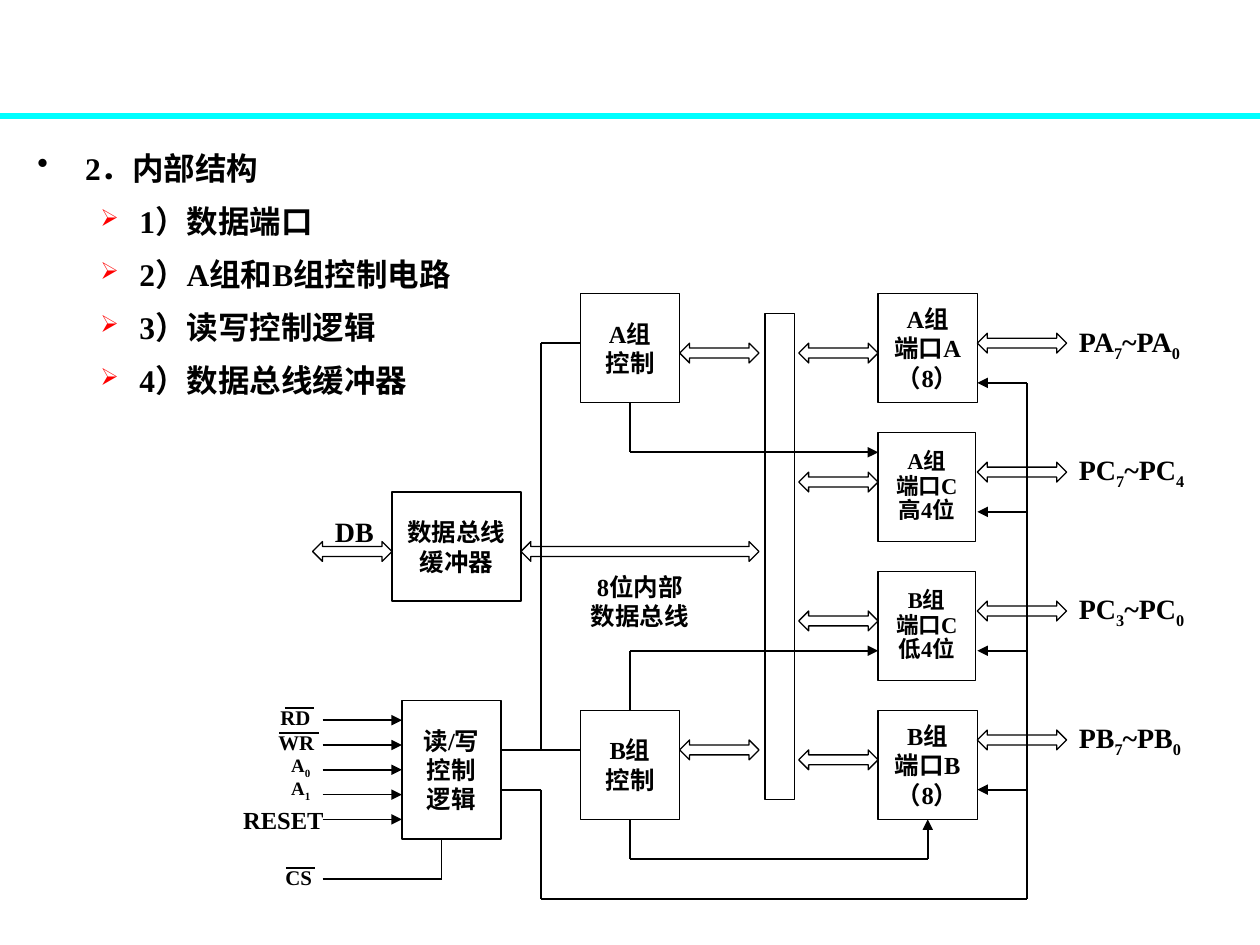
import pptx
import pptx.dml.color
import pptx.enum.shapes
import pptx.enum.text
import pptx.oxml
import pptx.oxml.ns
import pptx.util

BLACK = pptx.dml.color.RGBColor(0x00, 0x00, 0x00)
RED = pptx.dml.color.RGBColor(0xFF, 0x00, 0x00)
CYAN = pptx.dml.color.RGBColor(0x00, 0xFF, 0xFF)

SHAPE = pptx.enum.shapes.MSO_SHAPE
CENTER = pptx.enum.text.PP_ALIGN.CENTER
MIDDLE = pptx.enum.text.MSO_ANCHOR.MIDDLE
TOP = pptx.enum.text.MSO_ANCHOR.TOP


def add_xml(parent, tag, **attributes):
    element = pptx.oxml.parse_xml(f'<a:{tag} {pptx.oxml.ns.nsdecls("a")}/>')
    for name, value in attributes.items():
        element.set(name, str(value))
    parent.append(element)
    return element


class Diagram:
    """Draws on one slide; lengths are columns and rows of a 2 mm grid."""

    font = "Times New Roman"
    cell = pptx.util.Cm(0.2)
    left = pptx.util.Inches(2.56)
    top = pptx.util.Inches(2.33)

    def __init__(self, slide):
        self.slide = slide

    def x(self, column):
        return round(self.left + column * self.cell)

    def y(self, row):
        return round(self.top + row * self.cell)

    def area(self, column, row, columns, rows):
        return (self.x(column), self.y(row),
                round(columns * self.cell), round(rows * self.cell))

    def add_spans(self, para, runs, size):
        """Every second run is a subscript."""
        for index, text in enumerate(runs):
            span = para.add_run()
            span.text = text
            span.font.name = self.font
            span.font.size = pptx.util.Pt(size)
            span.font.bold = True
            span.font.color.rgb = BLACK
            if index % 2:
                span.font._element.set("baseline", "-25000")

    def fill_text(self, box, lines, size, align, spacing, inset=True, anchor=MIDDLE):
        frame = box.text_frame
        frame.word_wrap = True
        frame.vertical_anchor = anchor
        frame.margin_left = frame.margin_right = pptx.util.Inches(0.1 * inset)
        frame.margin_top = frame.margin_bottom = pptx.util.Inches(0.05 * inset)
        for index, runs in enumerate(lines):
            para = frame.add_paragraph() if index else frame.paragraphs[0]
            para.alignment = align
            para.line_spacing = spacing
            self.add_spans(para, runs, size)
        return frame

    def label(self, place, *lines, size=14, align=None, spacing=1.0, inset=True):
        box = self.slide.shapes.add_textbox(*self.area(*place))
        self.fill_text(box, lines, size, align, spacing, inset)

    def shape(self, kind, place):
        shape = self.slide.shapes.add_shape(kind, *self.area(*place))
        shape.shadow.inherit = False
        shape.fill.background()
        shape.line.color.rgb = BLACK
        shape.line.width = pptx.util.Pt(0.75)
        return shape

    def block(self, place, *lines, size=14, spacing=1.0):
        box = self.shape(SHAPE.RECTANGLE, place)
        self.fill_text(box, [[line] for line in lines], size, CENTER, spacing)

    def bus_arrow(self, column, row, columns):
        arrow = self.shape(SHAPE.LEFT_RIGHT_ARROW, (column, row, columns, 2))
        arrow.adjustments[0] = arrow.adjustments[1] = 0.5

    def wire(self, *points, arrow=False, color=BLACK, width=1):
        """Straight pieces through the points, with an optional end arrow."""
        for start, end in zip(points, points[1:]):
            line = self.slide.shapes.add_connector(
                pptx.enum.shapes.MSO_CONNECTOR.STRAIGHT,
                self.x(start[0]), self.y(start[1]), self.x(end[0]), self.y(end[1]))
            line.line.color.rgb = color
            line.line.width = pptx.util.Pt(width)
            if arrow and end == points[-1]:
                add_xml(line.line._ln, "tailEnd", type="triangle")
            add_xml(line._element.spPr, "effectLst")

    def outline(self, place, items):
        """Bulleted list: the first item is the heading of the others."""
        box = self.slide.shapes.add_textbox(*self.area(*place))
        frame = self.fill_text(box, [[item] for item in items], 18, None, 1.2, anchor=TOP)
        for index, para in enumerate(frame.paragraphs):
            symbol, color, scale, margin, indent = (
                ("➢", RED, 75, 0.81, 0.31) if index else ("•", BLACK, 100, 0.38, 0.38))
            para.level = min(index, 1)
            para.space_before = pptx.util.Pt(4.5 if index else 0)
            properties = para._p.get_or_add_pPr()
            properties.set("marL", str(pptx.util.Inches(margin)))
            properties.set("indent", str(-pptx.util.Inches(indent)))
            add_xml(add_xml(properties, "buClr"), "srgbClr", val=color)
            add_xml(properties, "buSzPct", val=scale * 1000)
            add_xml(properties, "buChar", char=symbol)


def main():
    deck = pptx.Presentation()
    deck.slide_width = pptx.util.Inches(10)
    deck.slide_height = pptx.util.Inches(7.5)
    diagram = Diagram(deck.slides.add_slide(deck.slide_layouts[6]))

    # Header rule and outline
    diagram.wire((-32.51, -17.9), (94.49, -17.9), color=CYAN, width=3)
    diagram.outline((-30, -16, 50, 29), [
        "2．内部结构", "1）数据端口", "2）A组和B组控制电路", "3）读写控制逻辑", "4）数据总线缓冲器"])

    # Ports: block, inner and outer bus arrows, control input, pin label
    ports = [
        (0, 10, ("A组", "端口A", "（8）"), 14, 1.0, 5, 4, 9, ("PA", "7", "~PA", "0")),
        (14, 9.8, ("A组", "端口C", "高4位"), 12.9, 0.9, 18, 17, 22, ("PC", "7", "~PC", "4")),
        (28, 9.8, ("B组", "端口C", "低4位"), 12.9, 0.9, 32, 31, 36, ("PC", "3", "~PC", "0")),
        (42, 10, ("B组", "端口B", "（8）"), 14, 1.0, 46, 44, 50, ("PB", "7", "~PB", "0")),
    ]
    for row, columns, lines, size, spacing, inner, outer, control, pins in ports:
        diagram.block((56, row, columns, 11), *lines, size=size, spacing=spacing)
        diagram.bus_arrow(48, inner, 8)
        diagram.bus_arrow(66, outer, 9)
        diagram.wire((71, control), (66, control), arrow=True)
        diagram.label((75, outer - 2, 16, 6), pins, size=16)

    # Group controls and internal data bus
    for group, row, arrow_row in (("A组", 0, 5), ("B组", 42, 45)):
        diagram.block((26, row, 10, 11), group, "控制")
        diagram.bus_arrow(36, arrow_row, 8)
    diagram.shape(SHAPE.RECTANGLE, (44.6, 2, 3, 49))
    diagram.label((24, 27, 16, 8), ["8位内部"], ["数据总线"], align=CENTER, inset=False)

    # Data bus buffer
    diagram.block((7, 20, 13, 11), "数据总线", "缓冲器")
    diagram.bus_arrow(20, 25, 24)
    diagram.bus_arrow(-1, 25, 8)
    diagram.label((0, 21, 7, 6), ["DB"], size=16)

    # Read/write logic with its input signals
    diagram.block((8, 41, 10, 14), "读/写", "控制", "逻辑")
    for index in range(5):
        row = 43 + 2.5 * index
        diagram.wire((0, row), (8, row), arrow=True)
    for name, column, row, bar_start, bar_end in (
            ("RD", -5.5, 40.9, -3.8, -0.9),
            ("WR", -5.7, 43.4, -4.4, -0.4),
            ("CS", -5, 57, -3.7, -0.8)):
        diagram.label((column, row, 7, 4), [name], size=11.9, spacing=0.9)
        diagram.wire((bar_start, row + 0.9), (bar_end, row + 0.9))
    for digit, row in (("0", 45.7), ("1", 48)):
        diagram.label((-4.4, row, 7, 4), ["A", digit], size=10.8, spacing=0.8)
    diagram.label((-8, 50, 9, 6), ["RESET"], inset=False)
    diagram.wire((0, 59), (12, 59), (12, 55))

    # Control wiring
    diagram.wire((31, 11), (31, 16), (56, 16), arrow=True)
    diagram.wire((31, 42), (31, 36), (56, 36), arrow=True)
    diagram.wire((31, 53), (31, 57), (61, 57), (61, 53), arrow=True)
    diagram.wire((18, 46), (26, 46))
    diagram.wire((22, 46), (22, 5), (26, 5))
    diagram.wire((18, 50), (22, 50), (22, 61), (71, 61), (71, 9))

    deck.save("out.pptx")


if __name__ == "__main__":
    main()
